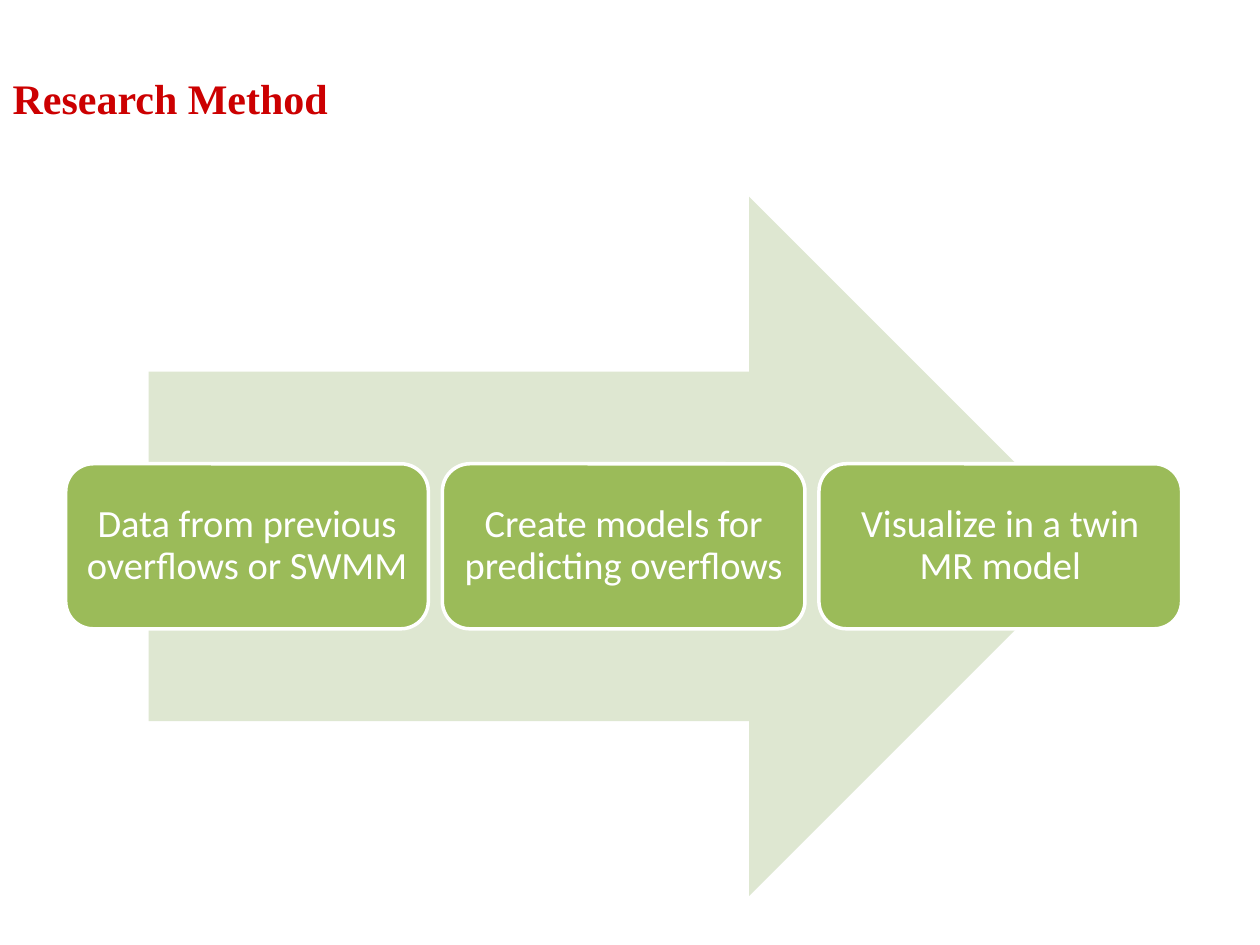
"""Build the Research Method slide: three steps along a wide arrow."""
from pptx import Presentation
from pptx.dml.color import RGBColor
from pptx.enum.shapes import MSO_SHAPE
from pptx.enum.text import MSO_ANCHOR, PP_ALIGN
from pptx.util import Pt

ARROW, ROUNDED = MSO_SHAPE.RIGHT_ARROW, MSO_SHAPE.ROUNDED_RECTANGLE
MIDDLE = MSO_ANCHOR.MIDDLE
LEFT, CENTER = PP_ALIGN.LEFT, PP_ALIGN.CENTER

RED = RGBColor(0xCC, 0x00, 0x01)
PALE_GREEN = RGBColor(0xDE, 0xE7, 0xD1)
GREEN = RGBColor(0x9B, 0xBB, 0x59)
WHITE = RGBColor(0xFF, 0xFF, 0xFF)

STEPS = [
    "Data from previous overflows or SWMM",
    "Create models for predicting overflows",
    "Visualize in a twin MR model",
]
STEP_LEFT, STEP_TOP = 37.6, 265
STEP_WIDTH, STEP_HEIGHT = 207.2, 94.3
STEP_PITCH = 215.2


def write(tf, text, font, size, color, align, bold=False):
    """Write one formatted run into a vertically centred text frame."""
    tf.word_wrap = True
    tf.vertical_anchor = MIDDLE
    p = tf.paragraphs[0]
    p.alignment = align
    r = p.add_run()
    r.text = text
    r.font.name = font
    r.font.size = Pt(size)
    r.font.bold = bold
    r.font.color.rgb = color
    return p


def add_title(s, text):
    """Place and format the slide title."""
    sp = s.shapes.title
    sp.left, sp.top, sp.width, sp.height = Pt(0), Pt(37.4), Pt(648), Pt(36.7)
    write(sp.text_frame, text, "Times New Roman", 24, RED, LEFT, bold=True)


def add_filled(s, kind, left, top, width, height, fill):
    """Add a flat preset shape without an outline."""
    sp = s.shapes.add_shape(kind, Pt(left), Pt(top), Pt(width), Pt(height))
    sp.shadow.inherit = False
    sp.fill.solid()
    sp.fill.fore_color.rgb = fill
    sp.line.fill.background()
    return sp


def add_step(s, index, text):
    """Add one rounded step box at its place in the row."""
    left = STEP_LEFT + index * STEP_PITCH
    sp = add_filled(s, ROUNDED, left, STEP_TOP, STEP_WIDTH, STEP_HEIGHT, GREEN)
    sp.line.color.rgb = WHITE
    sp.line.width = Pt(2)
    tf = sp.text_frame
    tf.margin_left = tf.margin_right = tf.margin_top = tf.margin_bottom = Pt(6.6)
    p = write(tf, text, "Calibri", 22, WHITE, CENTER)
    p.line_spacing = 0.9


def main():
    """Build and save the slide."""
    prs = Presentation()
    prs.slide_width, prs.slide_height = Pt(720), Pt(540)
    s = prs.slides.add_slide(prs.slide_layouts[5])
    add_title(s, "Research Method")
    add_filled(s, ARROW, 85, 112.4, 542.9, 399.6, PALE_GREEN)
    for index, text in enumerate(STEPS):
        add_step(s, index, text)
    prs.save("out.pptx")


if __name__ == "__main__":
    main()
